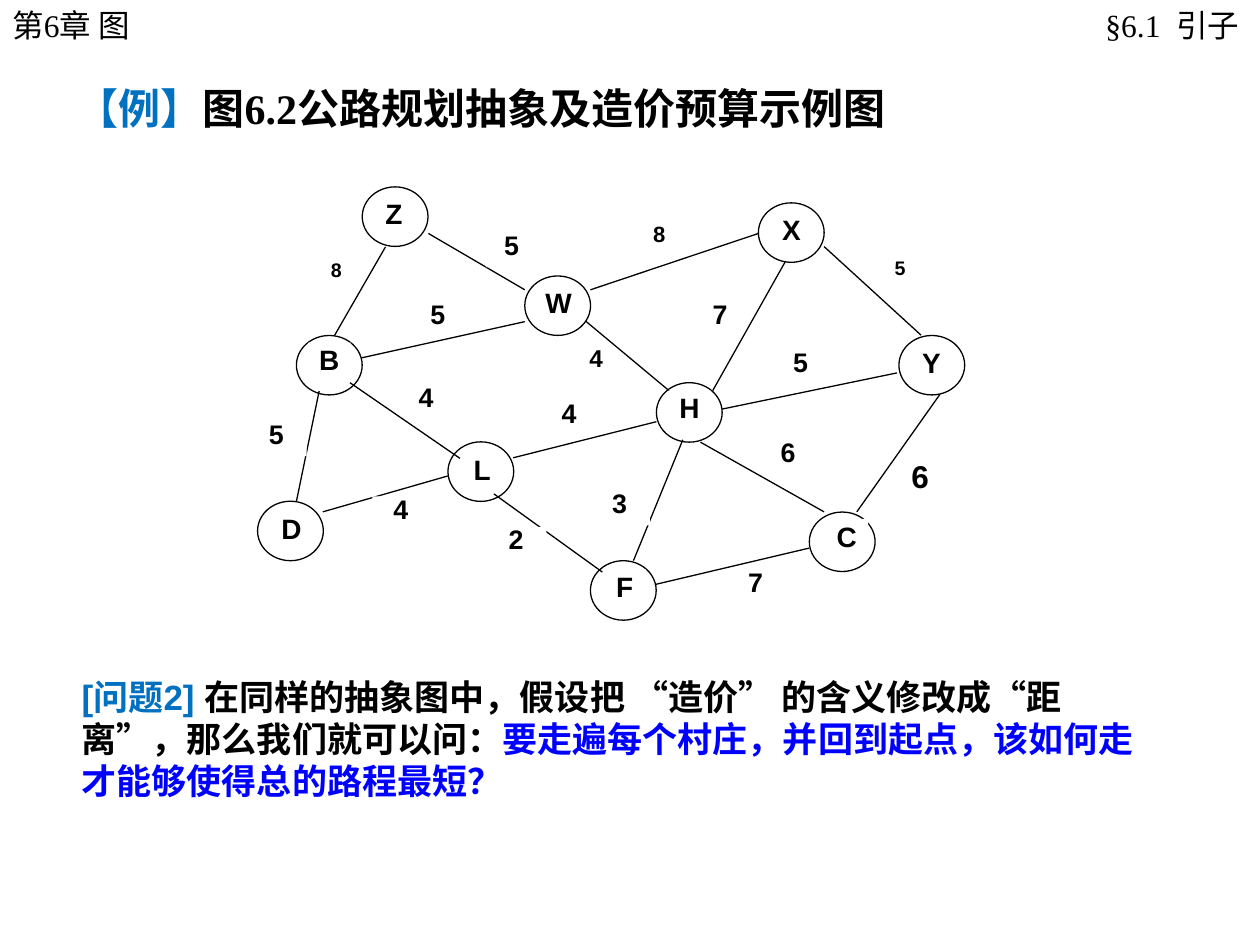
from collections import namedtuple

from lxml.etree import SubElement
from pptx import Presentation
from pptx.dml.color import RGBColor
from pptx.enum.shapes import MSO_CONNECTOR, MSO_SHAPE
from pptx.enum.text import MSO_ANCHOR, PP_ALIGN
from pptx.oxml.ns import qn
from pptx.util import Pt

BLACK = RGBColor(0, 0, 0)
WHITE = RGBColor(255, 255, 255)
SKY = RGBColor(0x00, 0x70, 0xC0)
BLUE = RGBColor(0, 0, 255)
SANS = "Arial"
SERIF = "Times New Roman"
NODE_SIZE = (37.6, 34)
NAME_SIZE = (24.5, 22.3)
LINE_WIDTH = 0.75
LINE_SPACING = {11.2: 0.8, 12.6: 0.8, 13.9: 0.8, 15.3: 0.9, 16: 1.0, 18: 1.0}

Node = namedtuple("Node", "name circle label")
Edge = namedtuple("Edge", "start end weight label size", defaults=[15.3])

NODES = [
    Node("B", (169.4, 191.7), (175.9, 195.8)),
    Node("Z", (207, 106.8), (212.9, 112.3)),
    Node("L", (256, 252.5), (263.3, 258.5)),
    Node("W", (299.9, 157.7), (307, 163.4)),
    Node("X", (433.4, 115.9), (440.1, 121.7)),
    Node("D", (147.2, 286.4), (154.3, 292.3)),
    Node("Y", (513.7, 191.7), (520.1, 197.3)),
    Node("C", (462.5, 292.6), (471.6, 296.6)),
    Node("H", (375.1, 218.7), (381.8, 223.2)),
    Node("F", (337.4, 320.4), (344.7, 325.4)),
]

EDGES = [
    Edge((244.8, 133.4), (299.9, 165.6), "5", (277.6, 132.5, 29.5, 20.2)),
    Edge((220.3, 141.1), (191.3, 191.5), "8", (180, 149.8, 24.5, 15.1), 11.2),
    Edge((337.4, 165.6), (433.4, 133.4), "8", (363.8, 128.9, 25.9, 15.8), 12.6),
    Edge((334.8, 183.6), (382.3, 223.2), "4", (328.1, 199.4, 25.2, 17.3), 13.9),
    Edge((470.9, 140.9), (526.3, 191.5), "5", (500.6, 149, 27.4, 15.1), 11.2),
    Edge((407.3, 223.2), (448.6, 149.8), "7", (399.3, 172.1, 24.5, 20.2)),
    Edge((412.6, 233.8), (512.6, 213.1), "5", (440.1, 199.4, 34.6, 20.2)),
    Edge((293.3, 261.6), (375.1, 241), "4", (312.2, 229, 25.9, 20.2)),
    Edge((400.3, 252.7), (470.9, 292.5), "6", (436, 251.3, 28.8, 19.4)),
    Edge((489.6, 292.5), (537.1, 225.4), "6", (513.6, 261.4, 24.5, 22.3), 18),
    Edge((374.8, 333.9), (462.4, 313.2), "7", (414.5, 325.4, 34.6, 20.2)),
    Edge((184.5, 292.5), (255.9, 272), "4", (212.8, 283.7, 32.4, 20.2)),
    Edge((282.2, 282.2), (344.2, 326.9), "2", (277.6, 301, 34.6, 20.2)),
    Edge((206.6, 204.5), (299.9, 183.8), "5", (237.3, 172.1, 25.9, 18)),
    Edge((200, 218.7), (262.8, 261.9), "4", (229.5, 219.6, 28.1, 18.7)),
    Edge((182.4, 223.4), (169.4, 286.4), "5", (140.6, 240.5, 34.6, 20.2)),
    Edge((362, 320.4), (390.2, 251.3), "3", (336.8, 280.1, 34.6, 20.2)),
]


def points(values):
    """Turn plain numbers into lengths in points."""
    return [Pt(value) for value in values]


def style_font(font, size, name, color, bold):
    """Set the look of a font."""
    font.size, font.name, font.bold = Pt(size), name, bold
    font.color.rgb = color


def add_text(page, bounds, spans, size, bold=False, align=PP_ALIGN.LEFT, side_margins=(7.2, 7.2)):
    """Add a wrapped text box made of (text, font name, colour) spans."""
    frame = page.shapes.add_textbox(*points(bounds)).text_frame
    frame.word_wrap = True
    frame.margin_left, frame.margin_right = points(side_margins)
    para = frame.paragraphs[0]
    para.alignment = align
    para._p.get_or_add_pPr().set("hangingPunct", "0")
    for text, name, color in spans:
        span = para.add_run()
        span.text = text
        style_font(span.font, size, name, color, bold)


def add_circle(graph, corner):
    """Add the outlined circle of a node."""
    circle = graph.shapes.add_shape(MSO_SHAPE.OVAL, *points(corner + NODE_SIZE))
    circle.shadow.inherit = False
    circle.fill.solid()
    circle.fill.fore_color.rgb = WHITE
    circle.line.color.rgb = BLACK
    circle.line.width = Pt(LINE_WIDTH)


def add_line(graph, start, end):
    """Add the line of an edge."""
    line = graph.shapes.add_connector(MSO_CONNECTOR.STRAIGHT, *points(start + end))
    line.line.color.rgb = BLACK
    line.line.width = Pt(LINE_WIDTH)
    SubElement(line._element.spPr, qn("a:effectLst"))


def add_label(graph, text, bounds, size):
    """Add a centred bold label on a white rectangle."""
    label = graph.shapes.add_shape(MSO_SHAPE.RECTANGLE, *points(bounds))
    label.shadow.inherit = False
    label.fill.solid()
    label.fill.fore_color.rgb = WHITE
    label.line.fill.background()
    frame = label.text_frame
    frame.margin_left = frame.margin_right = frame.margin_top = frame.margin_bottom = 0
    frame.vertical_anchor = MSO_ANCHOR.TOP
    frame.text = text
    para = frame.paragraphs[0]
    para.alignment = PP_ALIGN.CENTER
    para.line_spacing = LINE_SPACING[size]
    style_font(para.runs[0].font, size, SANS, BLACK, True)


def add_graph(page):
    """Add the weighted road graph as one group."""
    graph = page.shapes.add_group_shape()
    for node in NODES:
        add_circle(graph, node.circle)
    for edge in EDGES:
        add_line(graph, edge.start, edge.end)
    for edge in EDGES:
        add_label(graph, edge.weight, edge.label, edge.size)
    for node in NODES:
        add_label(graph, node.name, node.label + NAME_SIZE, 16)


def main():
    """Build and save the slide."""
    deck = Presentation()
    deck.slide_width, deck.slide_height = Pt(720), Pt(540)
    page = deck.slides.add_slide(deck.slide_layouts[6])
    add_text(page, (0, 0, 125.3, 28.8), [("第6章 图", SERIF, BLACK)], 18)
    add_text(page, (36.7, 43.6, 640.8, 36), [
        ("【例】", SANS, SKY),
        ("图6.2公路规划抽象及造价预算示例图", SERIF, BLACK),
    ], 24, bold=True)
    add_text(page, (609.5, 0, 110.2, 28.8), [("§6.1  引子", SERIF, BLACK)], 18,
             align=PP_ALIGN.RIGHT, side_margins=(8.6, 11.5))
    add_text(page, (39.6, 382.3, 630, 79.2), [
        ("[问题2] ", SANS, SKY),
        ("在同样的抽象图中，假设把 “造价” 的含义修改成“距离”，那么我们就可以问：", SANS, BLACK),
        ("要走遍每个村庄，并回到起点，该如何走才能够使得总的路程最短？", SANS, BLUE),
    ], 20, bold=True)
    add_graph(page)
    deck.save("out.pptx")


if __name__ == "__main__":
    main()
